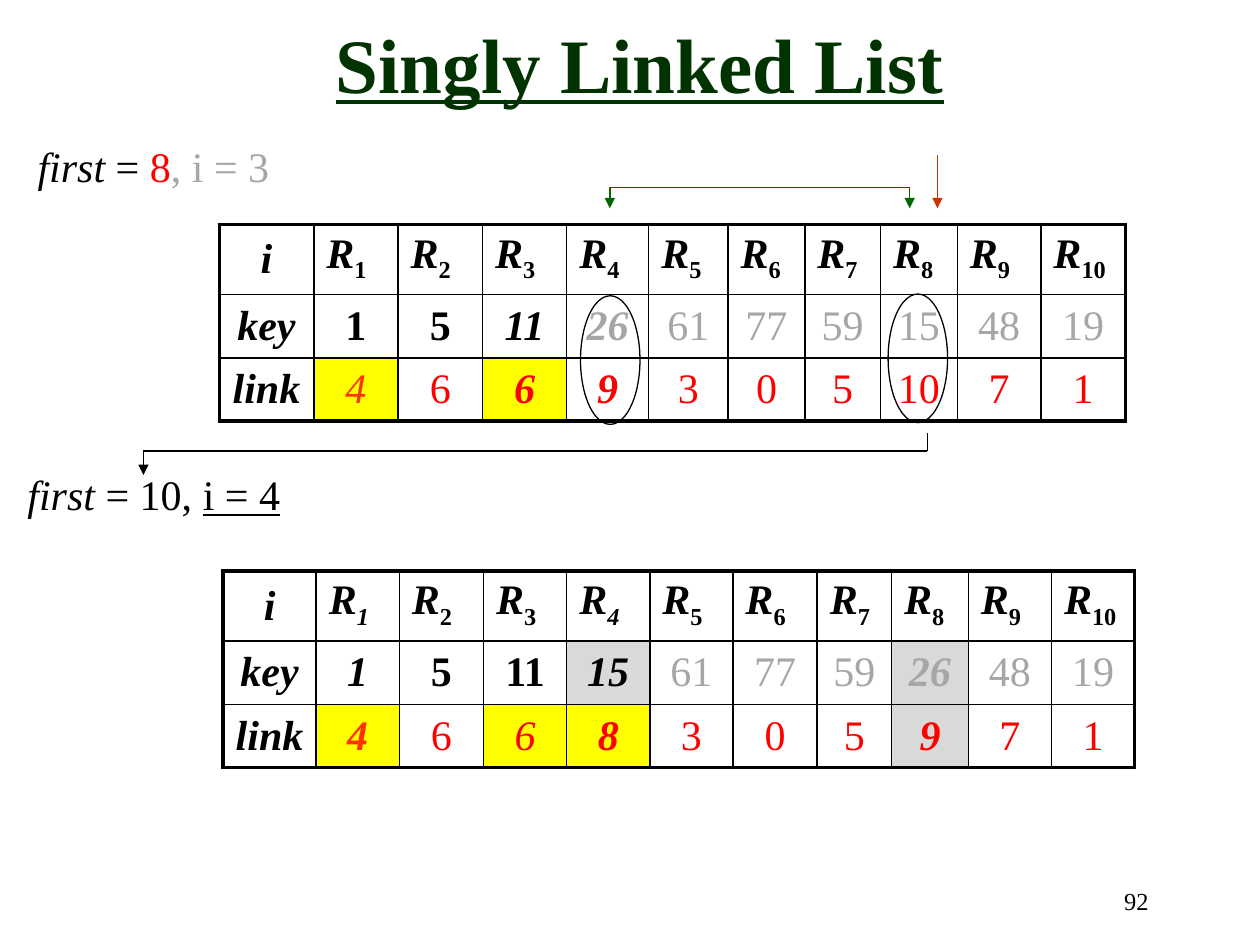
import pptx
import pptx.dml.color
import pptx.enum.shapes
import pptx.enum.text
import pptx.oxml
import pptx.oxml.ns
import pptx.util
from lxml import etree
from typing import NamedTuple

Pt = pptx.util.Pt
Align = pptx.enum.text.PP_ALIGN
Anchor = pptx.enum.text.MSO_ANCHOR
qn = pptx.oxml.ns.qn

FONT = "Times New Roman"
BLACK, RED, GREY = "000000", "FF0000", "A6A6A6"
ORANGE, YELLOW, SILVER = "FF3300", "FFFF00", "D9D9D9"
GREEN, RUST, DARK = "006600", "CC3300", "003300"
HEIGHTS = (40, 36.4, 36)


class Run(NamedTuple):
    text: str
    color: str = BLACK
    ital: bool = False
    under: bool = False


class Cell(NamedTuple):
    text: str
    color: str
    bold: bool = False
    ital: bool = False
    fill: str = ""


class Grid(NamedTuple):
    left: float
    top: float
    widths: tuple[float, ...]
    slanted: tuple[int, ...]
    keys: list[Cell]
    links: list[Cell]


class Line(NamedTuple):
    start: tuple[float, float]
    end: tuple[float, float]
    color: str
    arrow: bool = False


def tint(code: str) -> pptx.dml.color.RGBColor:
    return pptx.dml.color.RGBColor.from_string(code)


def style(font, size: float, color: str = "", bold: bool = False) -> None:
    font.name = FONT
    font.size = Pt(size)
    font.bold = bold
    if color:
        font.color.rgb = tint(color)


def write(slide, box: tuple, runs: list[Run], size: float = 24,
          align=Align.LEFT, bold: bool = False, wrap: bool = True,
          anchor=Anchor.TOP) -> None:
    frame = slide.shapes.add_textbox(*map(Pt, box)).text_frame
    frame.word_wrap = wrap
    frame.vertical_anchor = anchor
    para = frame.paragraphs[0]
    para.alignment = align
    style(para.font, size, bold=bold)
    for item in runs:
        run = para.add_run()
        run.text = item.text
        run.font.color.rgb = tint(item.color)
        run.font.italic = item.ital
        run.font.underline = item.under


def border(cell, sides: dict[str, float]) -> None:
    props = cell._tc.get_or_add_tcPr()
    for side, width in sides.items():
        line = etree.SubElement(props, qn(f"a:ln{side}"), w=str(Pt(width)))
        fill = etree.SubElement(line, qn("a:solidFill"))
        etree.SubElement(fill, qn("a:srgbClr"), val=BLACK)


def put(cell, item: Cell):
    cell.vertical_anchor = Anchor.MIDDLE
    para = cell.text_frame.paragraphs[0]
    para.alignment = Align.CENTER
    style(para.font, 24, item.color, item.bold)
    para.font.italic = item.ital
    para.add_run().text = item.text
    if item.fill:
        cell.fill.solid()
        cell.fill.fore_color.rgb = tint(item.fill)
    else:
        cell.fill.background()


def head(cell, num: int, slant: bool) -> None:
    cell.fill.background()
    para = cell.text_frame.paragraphs[0]
    style(para.font, 24, BLACK, True)
    name, sub = para.add_run(), para.add_run()
    name.text, sub.text = "R", str(num)
    name.font.italic, sub.font.italic = True, slant
    sub._r.get_or_add_rPr().set("baseline", "-25000")


def draw(slide, grid: Grid) -> None:
    rows, cols = len(HEIGHTS), len(grid.widths)
    table = slide.shapes.add_table(
        rows, cols, Pt(grid.left), Pt(grid.top),
        Pt(sum(grid.widths)), Pt(sum(HEIGHTS))).table
    table.first_row = table.horz_banding = False
    for col, width in zip(table.columns, grid.widths):
        col.width = Pt(width)
    for row, height in zip(table.rows, HEIGHTS):
        row.height = Pt(height)
    for r in range(rows):
        for c in range(cols):
            edges = {"L": c == 0, "R": c == cols - 1,
                     "T": r == 0, "B": r == rows - 1}
            border(table.cell(r, c),
                   {s: 2.25 if outer else 1 for s, outer in edges.items()})
    for r, label in enumerate(("i", "key", "link")):
        put(table.cell(r, 0), Cell(label, BLACK, True, True))
    for c in range(1, cols):
        head(table.cell(0, c), c, c in grid.slanted)
        put(table.cell(1, c), grid.keys[c - 1])
        put(table.cell(2, c), grid.links[c - 1])


def link(slide, line: Line) -> None:
    kind = pptx.enum.shapes.MSO_CONNECTOR.STRAIGHT
    shape = slide.shapes.add_connector(
        kind, *map(Pt, line.start + line.end))
    shape.line.width = Pt(0.75)
    shape.line.color.rgb = tint(line.color)
    if line.arrow:
        etree.SubElement(shape.line._get_or_add_ln(), qn("a:tailEnd"),
                         type="triangle")
    etree.SubElement(shape._element.spPr, qn("a:effectLst"))


def ring(slide, left: float, top: float) -> None:
    shape = slide.shapes.add_shape(
        pptx.enum.shapes.MSO_SHAPE.OVAL, Pt(left), Pt(top), Pt(34), Pt(73.5))
    shape.shadow.inherit = False
    shape.fill.background()
    shape.line.color.rgb = tint(BLACK)
    shape.line.width = Pt(0.75)


def plain(text: str, color: str) -> list[Cell]:
    return [Cell(word, color) for word in text.split()]


BEFORE = Grid(
    125.3, 128.2,
    (54, 48.2, 48.2, 48.2, 46.8, 45.4, 43.9, 43.2, 43.9, 47.8, 48.2), (),
    [Cell("1", BLACK, True), Cell("5", BLACK, True),
     Cell("11", BLACK, True, True), Cell("26", GREY, True, True),
     *plain("61 77 59 15 48 19", GREY)],
    [Cell("4", ORANGE, False, True, YELLOW), Cell("6", RED),
     Cell("6", RED, True, True, YELLOW), Cell("9", RED, True, True),
     *plain("3 0 5 10 7 1", RED)])

AFTER = Grid(
    127.4, 326.2,
    (53.3, 47.5, 48.2, 47.5, 47.5, 47.5, 48.2, 42.5, 43.9, 47.5, 47.5), (1, 4),
    [Cell("1", BLACK, True, True), Cell("5", BLACK, True),
     Cell("11", BLACK, True), Cell("15", BLACK, True, True, SILVER),
     *plain("61 77 59", GREY), Cell("26", GREY, True, True, SILVER),
     *plain("48 19", GREY)],
    [Cell("4", ORANGE, True, True, YELLOW), Cell("6", RED),
     Cell("6", RED, False, True, YELLOW), Cell("8", RED, True, True, YELLOW),
     *plain("3 0 5", RED), Cell("9", RED, True, True, SILVER),
     *plain("7 1", RED)])

LINES = (
    Line((348.5, 107), (348.5, 119), GREEN, True),
    Line((348.5, 107), (519.8, 107), GREEN),
    Line((519.8, 107), (519.8, 119), GREEN, True),
    Line((535.7, 88.5), (535.7, 119), RUST, True),
    Line((530, 247.5), (530, 257.7), BLACK),
    Line((82, 257.7), (530, 257.7), BLACK),
    Line((82, 257.7), (82, 271.4), BLACK, True),
)


def main() -> None:
    deck = pptx.Presentation()
    deck.slide_width, deck.slide_height = Pt(720), Pt(540)
    slide = deck.slides.add_slide(deck.slide_layouts[6])
    write(slide, (513.4, 502.5, 150, 36), [Run("92")], 14, Align.RIGHT)
    write(slide, (8.6, 264.2, 175.7, 36),
          [Run("first", ital=True), Run(" = 10, "), Run("i = 4", under=True)])
    write(slide, (14.4, 77, 148.3, 36.7),
          [Run("first ", ital=True), Run("= "), Run("8", RED),
           Run(", i = 3", GREY)], wrap=False)
    for grid in (BEFORE, AFTER):
        draw(slide, grid)
    for line in LINES:
        link(slide, line)
    write(slide, (105, 0, 521.3, 72),
          [Run("Singly Linked List", DARK, under=True)], 44,
          Align.CENTER, True, anchor=Anchor.MIDDLE)
    ring(slide, 331.7, 169)
    ring(slide, 507.5, 168)
    deck.save("out.pptx")


if __name__ == "__main__":
    main()
